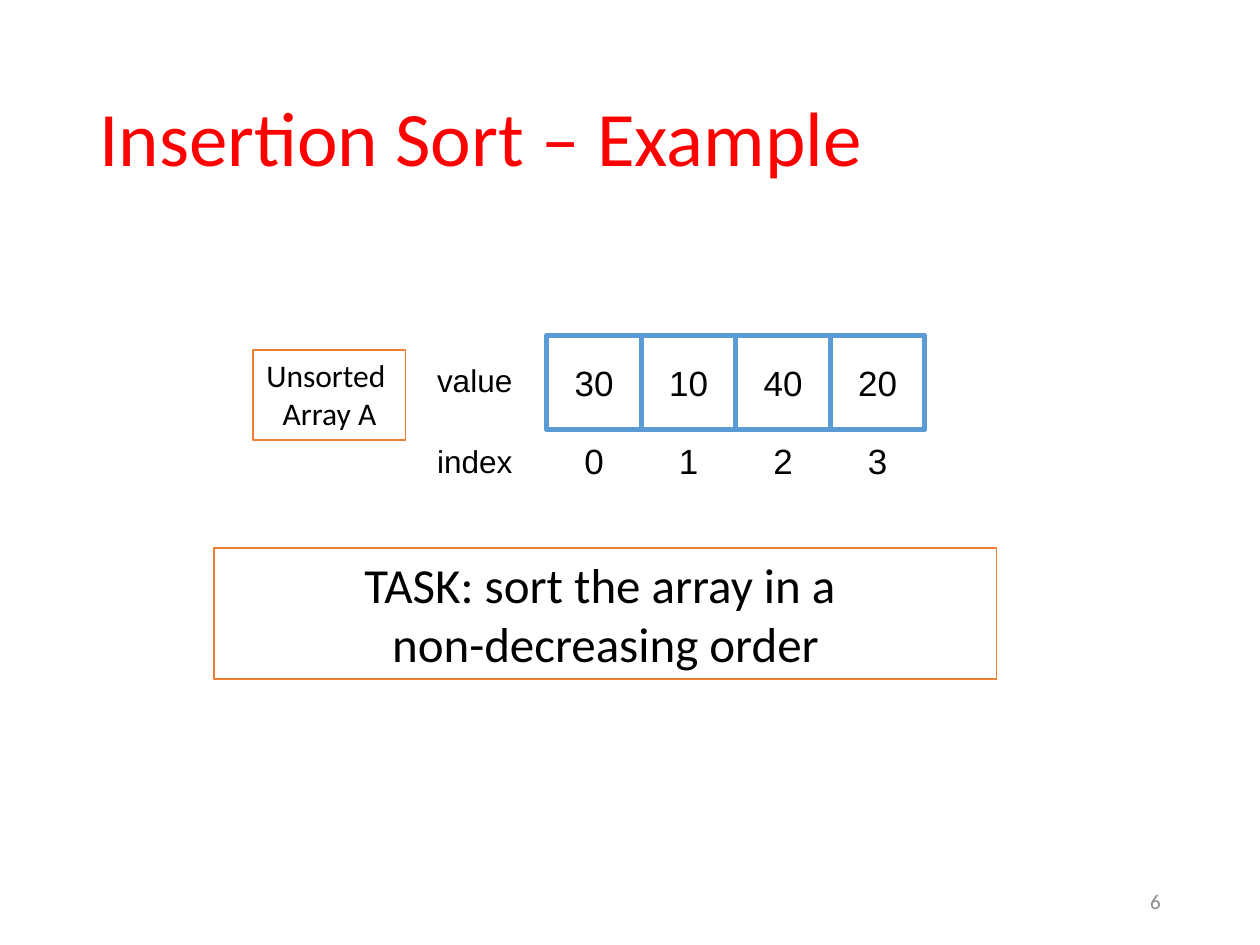
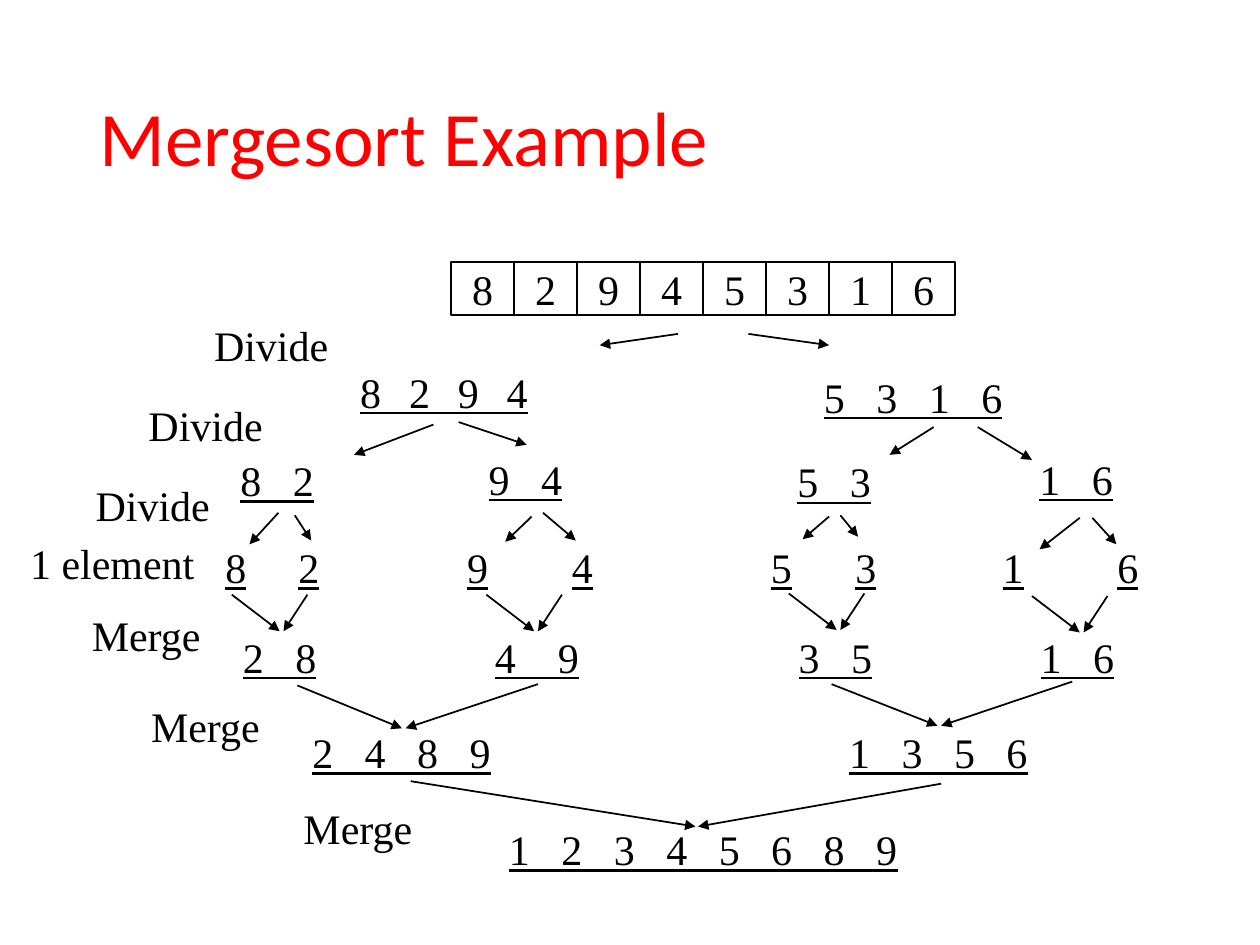
from lxml.etree import SubElement
from pptx import Presentation
from pptx.dml.color import RGBColor
from pptx.enum.shapes import MSO_CONNECTOR as Link, MSO_SHAPE as Shape
from pptx.enum.text import MSO_ANCHOR as Anchor, PP_ALIGN as Align
from pptx.oxml.ns import qn
from pptx.util import Inches, Pt

BLACK, WHITE, RED, GREY = "000000", "FFFFFF", "FF0000", "8C8C8C"
BLUE, ORANGE = "5B9BD5", "ED7D31"
SANS, BODY, SERIF = "Arial", "Calibri", "Times New Roman"
DIGIT, SPACE, TRACK = 12, 6, 6  # points, for the 24-point serif digits

# Number groups of the tree: left, top, digits, letter spacing
GROUPS = [
    (2.76, 0.86, "8294", 5), (6.44, 0.9, "5316", TRACK),
    (1.81, 1.56, "82", TRACK), (3.78, 1.55, "94", TRACK),
    (6.23, 1.57, "53", TRACK), (8.15, 1.55, "16", TRACK),
    (1.83, 2.96, "28", TRACK), (3.83, 2.96, "49", 9),
    (6.24, 2.96, "35", TRACK), (8.16, 2.96, "16", TRACK),
    (2.38, 3.72, "2489", TRACK), (6.64, 3.72, "1356", TRACK),
    (3.94, 4.49, "12345689", TRACK),
]
LEAVES = zip((1.69, 2.27, 3.61, 4.44, 6.02, 6.69, 7.86, 8.77), "82945316")
STEPS = [
    (1.6, 0.49, "Divide"), (1.08, 1.12, "Divide"), (0.66, 1.76, "Divide"),
    (0.14, 2.22, "1 element"),
    (0.63, 2.79, "Merge"), (1.1, 3.51, "Merge"), (2.31, 4.32, "Merge"),
]
# Arrows of the tree: from x, y to x, y
SPLITS = [
    (5.38, 0.65, 4.76, 0.74), (5.94, 0.65, 6.58, 0.74),
    (3.44, 1.37, 2.81, 1.61), (3.64, 1.35, 4.18, 1.53),
    (7.41, 1.39, 7.06, 1.61), (7.76, 1.39, 8.19, 1.65),
    (2.21, 2.07, 1.98, 2.32), (2.34, 2.09, 2.47, 2.29),
    (4.22, 2.1, 4.01, 2.3), (4.31, 2.07, 4.57, 2.29),
    (6.58, 2.1, 6.37, 2.28), (6.67, 2.09, 6.81, 2.26),
    (8.57, 2.11, 8.25, 2.36), (8.67, 2.11, 8.86, 2.32),
]
PAIRS = [(1.84, 2.72), (3.86, 2.72), (6.26, 2.71), (8.19, 2.73)]
JOINS = [
    (2.36, 3.44, 3.19, 3.78), (4.27, 3.43, 3.22, 3.78),
    (6.6, 3.43, 7.44, 3.76), (8.51, 3.41, 7.47, 3.76),
    (3.26, 4.2, 5.52, 4.56), (7.47, 4.22, 5.54, 4.56),
]


def color(code):
    return RGBColor.from_string(code)


def write(shape, text, size, font, ink=BLACK, align=Align.LEFT,
          anchor=Anchor.TOP, wrap=False):
    frame = shape.text_frame
    frame.text = text
    frame.word_wrap = wrap
    frame.vertical_anchor = anchor
    for para in frame.paragraphs:
        para.alignment = align
        para.font.size = Pt(size)
        para.font.name = font
        para.font.color.rgb = color(ink)
    return frame


def label(slide, box, text, size, font, **style):
    shape = slide.shapes.add_textbox(*map(Inches, box))
    return write(shape, text, size, font, **style)


def block(slide, box, text, size, font, fill=None, line=None, width=1,
          anchor=Anchor.MIDDLE, wrap=False):
    """Rectangle with centred text."""
    shape = slide.shapes.add_shape(Shape.RECTANGLE, *map(Inches, box))
    shape.shadow.inherit = False
    if fill:
        shape.fill.solid()
        shape.fill.fore_color.rgb = color(fill)
    else:
        shape.fill.background()
    if line:
        shape.line.color.rgb = color(line)
        shape.line.width = Pt(width)
    else:
        shape.line.fill.background()
    write(shape, text, size, font, align=Align.CENTER, anchor=anchor, wrap=wrap)


def cells(slide, box, items, size, font, **style):
    """Row of touching cells; the box is that of the first cell."""
    left, top, width, height = box
    for i, item in enumerate(items):
        block(slide, (left + i * width, top, width, height), item, size, font,
              **style)


def arrow(slide, ends):
    link = slide.shapes.add_connector(Link.STRAIGHT, *map(Inches, ends))
    link.line.color.rgb = color(BLACK)
    link.line.width = Pt(1)
    SubElement(link.line._get_or_add_ln(), qn("a:tailEnd"), type="triangle")
    SubElement(link._element.spPr, qn("a:effectLst"))


def group(slide, left, top, digits, track=0):
    """Digits on one underline, set apart by letter spacing."""
    pitch = DIGIT + SPACE + 2 * track
    width = len(digits) * pitch / 72 + 0.3
    frame = label(slide, (left, top, width, 0.5), " ".join(digits), 24, SERIF)
    run = frame.paragraphs[0].runs[0]
    run.font.underline = True
    if track:
        run._r.get_or_add_rPr().set("spc", str(track * 100))


def add_slide(deck, title):
    slide = deck.slides.add_slide(deck.slide_layouts[6])
    frame = label(slide, (0.69, 0.4, 8.62, 1.45), title, 44, BODY, ink=RED,
                  anchor=Anchor.MIDDLE, wrap=True)
    frame.paragraphs[0].line_spacing = 0.9
    return slide


def array(slide, left, top):
    """Unsorted array with its values and indexes."""
    block(slide, (left, top + 0.12, 1.21, 0.71), "Unsorted \nArray A", 18, BODY,
          fill=WHITE, line=ORANGE, anchor=Anchor.TOP)
    for name, drop in (("value", 0.16), ("index", 0.8)):
        label(slide, (left + 1.36, top + drop, 0.81, 0.4), name, 18, SANS)
    start = left + 2.33
    cells(slide, (start, top, 0.75, 0.75), ("30", "10", "40", "20"), 20, SANS,
          fill=WHITE, line=BLUE, width=3)
    cells(slide, (start, top + 0.83, 0.75, 0.33), "0123", 20, SANS, fill=WHITE)


def tree(slide, top):
    """Division and merging of the array, down from the given top."""
    cells(slide, (3.58, top + 0.08, 0.5, 0.42), "82945316", 24, SERIF,
          line=BLACK, width=0.75)
    for left, drop, digits, track in GROUPS:
        group(slide, left, top + drop, digits, track)
    for left, digit in LEAVES:
        group(slide, left, top + 2.25, digit)
    for left, drop, step in STEPS:
        label(slide, (left, top + drop, 1.65, 0.5), step, 24, SERIF)
    merges = [(x + a, y, x + b, y + 0.29)
              for x, y in PAIRS for a, b in ((0, 0.38), (0.6, 0.41))]
    for x1, y1, x2, y2 in SPLITS + merges + JOINS:
        arrow(slide, (x1, top + y1, x2, top + y2))


def main():
    deck = Presentation()
    deck.slide_width, deck.slide_height = Inches(10), Inches(7.5)

    slide = add_slide(deck, "Insertion Sort – Example")
    array(slide, 2.01, 2.66)
    block(slide, (1.7, 4.35, 6.21, 1.04),
          "TASK: sort the array in a \nnon-decreasing order", 28, BODY,
          fill=WHITE, line=ORANGE, anchor=Anchor.TOP, wrap=True)
    label(slide, (7.06, 6.95, 2.25, 0.4), "6", 12, BODY, ink=GREY,
          align=Align.RIGHT, anchor=Anchor.MIDDLE, wrap=True)

    tree(add_slide(deck, "Mergesort Example"), 2)
    deck.save("out.pptx")


if __name__ == "__main__":
    main()
